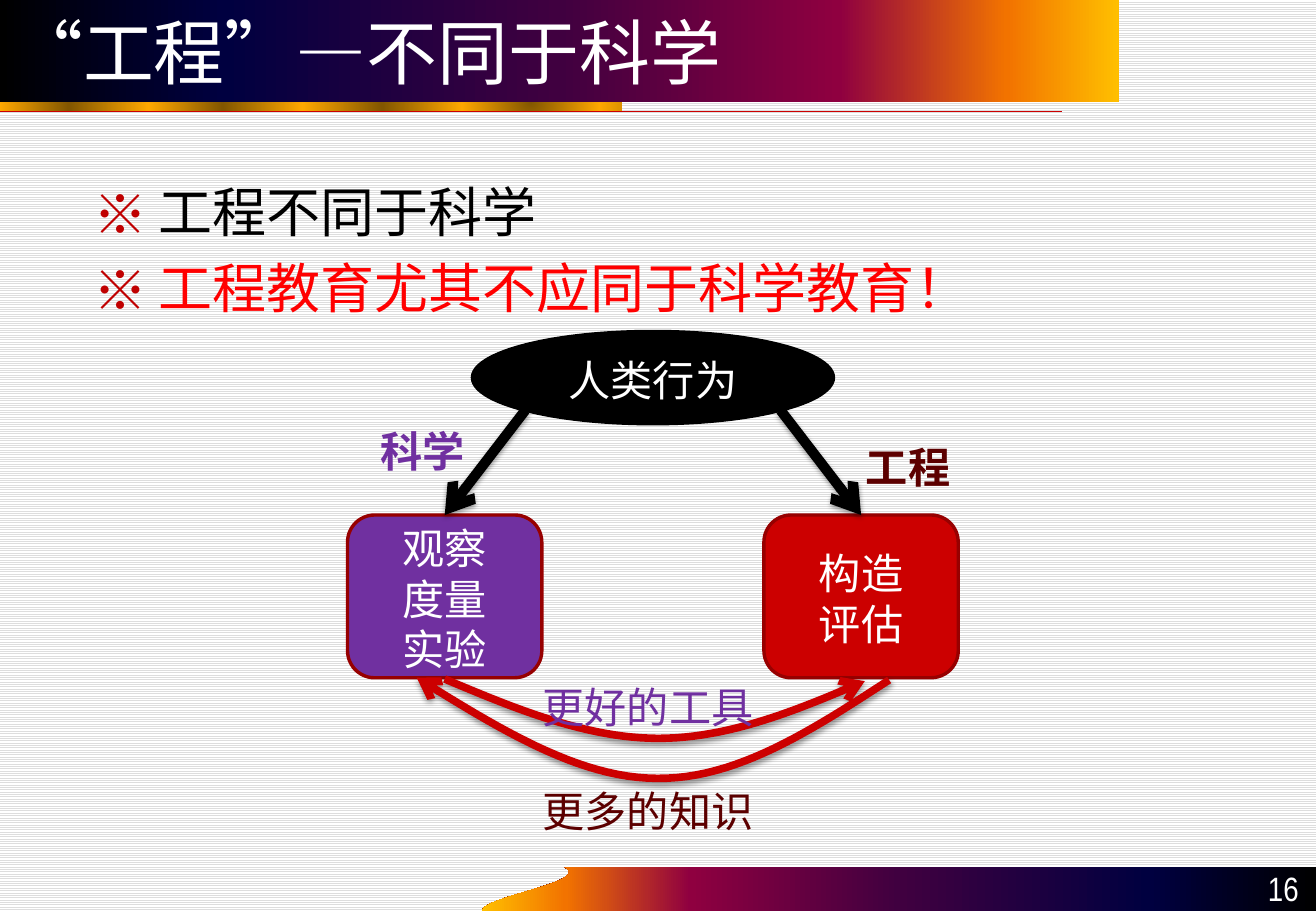
from dataclasses import dataclass
from math import sqrt

from lxml import etree
from pptx import Presentation
from pptx.dml.color import RGBColor
from pptx.enum.dml import MSO_PATTERN
from pptx.enum.shapes import MSO_CONNECTOR, MSO_SHAPE
from pptx.enum.text import MSO_ANCHOR, PP_ALIGN
from pptx.oxml.ns import qn
from pptx.util import Pt

STRAIGHT = MSO_CONNECTOR.STRAIGHT
ELLIPSE, ROUNDED = MSO_SHAPE.OVAL, MSO_SHAPE.ROUNDED_RECTANGLE
TOP, MIDDLE, BOTTOM = MSO_ANCHOR.TOP, MSO_ANCHOR.MIDDLE, MSO_ANCHOR.BOTTOM
LEFT, CENTER, RIGHT = PP_ALIGN.LEFT, PP_ALIGN.CENTER, PP_ALIGN.RIGHT
TOP_SITE = 0


@dataclass(frozen=True)
class Theme:
    cjk: str = "Noto Sans CJK SC"
    title_font: str = "DejaVu Sans"
    number_font: str = "Arial Narrow"
    title: int = 42
    body: int = 32
    diagram: int = 25
    number: int = 20
    black: str = "000000"
    white: str = "FFFFFF"
    stripe: str = "DDDDDD"
    bullet: str = "C00000"
    alert: str = "FF0000"
    purple: str = "7030A0"
    red: str = "CC0000"
    node_edge: str = "970000"
    maroon: str = "5C0000"
    sunset: tuple = ((0, "000000"), (20, "000040"), (50, "400040"),
                     (75, "8F0040"), (90, "F27300"), (100, "FFBF00"))
    gold: tuple = ((0, "825600"), (13, "FFA800"), (28, "825600"), (43, "FFA800"),
                   (58, "825600"), (72, "FFA800"), (87, "825600"), (100, "FFA800"))


@dataclass(frozen=True)
class Box:
    left: float
    top: float
    width: float
    height: float

    def inner(self, x, y, width, height):
        return Box(self.left + x, self.top + y, width, height)

    def lengths(self):
        return [Pt(v) for v in (self.left, self.top, self.width, self.height)]


THEME = Theme()


def rgb(value):
    return RGBColor.from_string(value)


def sub(parent, tag, **attributes):
    return etree.SubElement(parent, qn(tag), attributes)


def style_run(run, size, color, font=THEME.cjk, bold=False):
    run.font.size, run.font.bold, run.font.name = Pt(size), bold, font
    run.font.color.rgb = rgb(color)
    sub(run.font._element, "a:ea", typeface=THEME.cjk)


def write(shape, text, size, color, align=LEFT, anchor=TOP, wrap=True, bold=False):
    frame = shape.text_frame
    frame.text, frame.word_wrap, frame.vertical_anchor = text, wrap, anchor
    frame.margin_top = Pt(6)
    for paragraph in frame.paragraphs:
        paragraph.alignment = align
        paragraph.line_spacing = Pt(1.2 * size)
        style_run(paragraph.runs[0], size, color, bold=bold)
    return frame


def gradient(shape, stops, angle=None):
    """Linear at the given angle, or circular from the centre without one."""
    shape.fill.gradient()
    fill = shape._element.spPr.find(qn("a:gradFill"))
    for child in list(fill):
        fill.remove(child)
    stop_list = sub(fill, "a:gsLst")
    for percent, color in stops:
        sub(sub(stop_list, "a:gs", pos=str(percent * 1000)), "a:srgbClr", val=color)
    if angle is None:
        centre = dict.fromkeys("ltrb", "50000")
        sub(sub(fill, "a:path", path="circle"), "a:fillToRect", **centre)
    else:
        sub(fill, "a:lin", ang=str(angle * 60000), scaled="0")


def effects(shape, shadow=False):
    effect_list = sub(shape._element.spPr, "a:effectLst")
    if shadow:
        outer = sub(effect_list, "a:outerShdw", blurRad=str(Pt(3.1)),
                    dist=str(Pt(1.6)), dir="5400000", rotWithShape="0")
        sub(sub(outer, "a:srgbClr", val=THEME.black), "a:alpha", val="38000")


def stroke(shape, color, width, arrow=None):
    shape.line.color.rgb, shape.line.width = rgb(color), Pt(width)
    if arrow:
        sub(shape._element.spPr.find(qn("a:ln")), arrow, type="arrow")


def bezier(points, steps=24):
    """Sample joined cubic curves given as start, then three points each."""
    samples = [points[0]]
    for first in range(0, len(points) - 1, 3):
        a, b, c, d = points[first:first + 4]
        for t in (i / steps for i in range(1, steps + 1)):
            u = 1 - t
            samples.append(tuple(u**3 * p + 3 * u * u * t * q + 3 * u * t * t * r + t**3 * s
                                 for p, q, r, s in zip(a, b, c, d)))
    return samples


def outline(slide, box, *contours, close=True):
    builder = None
    for contour in contours:
        points = [(Pt(box.left + x), Pt(box.top + y)) for x, y in contour]
        if builder is None:
            builder = slide.shapes.build_freeform(*points[0])
        else:
            builder.move_to(*points[0])
        builder.add_line_segments(points[1:], close=close)
    return builder.convert_to_shape()


def header(slide, box, text):
    # Gold strip, behind the title band
    strip = box.inner(0, 54.7, 629.3, 11.5)
    bar = outline(slide, strip, [(0, 11.5), (368.6, 11.5), (368.6, 0), (0, 0), (0, 11.5)],
                  [(0, 11.5), (strip.width, 11.5)], close=False)
    gradient(bar, THEME.gold)
    bar.line.fill.background()
    effects(bar)
    slide.shapes._spTree.insert(2, bar._element)
    base = strip.top + strip.height
    rule = slide.shapes.add_connector(STRAIGHT, Pt(strip.left), Pt(base),
                                      Pt(strip.left + strip.width), Pt(base))
    stroke(rule, THEME.red, 0.75)
    effects(rule)

    # Title band
    title = slide.shapes.title
    title.left, title.top, title.width, title.height = box.lengths()
    gradient(title, THEME.sunset, 0)
    frame = title.text_frame
    frame.text, frame.vertical_anchor = text, MIDDLE
    frame.paragraphs[0].alignment = LEFT
    style_run(frame.paragraphs[0].runs[0], THEME.title, THEME.white, THEME.title_font)


def statements(slide, box, lines):
    area = slide.shapes.add_textbox(*box.lengths())
    frame = write(area, "\n".join(text for text, _ in lines), THEME.body, THEME.black)
    for index, (paragraph, (_, color)) in enumerate(zip(frame.paragraphs, lines)):
        paragraph.space_before = Pt(0.2 * THEME.body if index else 0)
        properties = paragraph._p.get_or_add_pPr()
        properties.set("marL", str(Pt(38.9)))
        properties.set("indent", str(-Pt(38.9)))
        sub(sub(properties, "a:buClr"), "a:srgbClr", val=THEME.bullet)
        sub(properties, "a:buFont", typeface=THEME.cjk)
        sub(properties, "a:buChar", char="※")
        paragraph.runs[0].font.color.rgb = rgb(color)


def diagram(slide, box):
    def node(kind, place, text, fill, edge):
        shape = slide.shapes.add_shape(kind, *place.lengths())
        shape.fill.solid()
        shape.fill.fore_color.rgb = rgb(fill)
        stroke(shape, edge, 2)
        effects(shape)
        frame = write(shape, text, THEME.diagram, THEME.white, CENTER, MIDDLE)
        frame.margin_top, frame.margin_bottom = Pt(2.4), 0
        return shape

    # Human activity and its two branches
    middle, oval_width, oval_height = box.width / 2, 214, 54.7
    node_top, node_width, node_height = 108.8, 115.2, 96.5
    node(ELLIPSE, box.inner(middle - oval_width / 2, 0, oval_width, oval_height),
         "人类行为", THEME.black, THEME.black)
    branches = [(-1, 0, "观察\n度量\n实验", THEME.purple),
                (1, box.width - node_width, "构造\n评估", THEME.red)]
    for side, x, text, fill in branches:
        branch = node(ROUNDED, box.inner(x, node_top, node_width, node_height),
                      text, fill, THEME.node_edge)
        start_x = box.left + middle + side * oval_width / sqrt(8)
        start_y = box.top + oval_height / 2 * (1 + 1 / sqrt(2))
        arrow = slide.shapes.add_connector(STRAIGHT, Pt(start_x), Pt(start_y),
                                           branch.left + branch.width // 2, branch.top)
        arrow.end_connect(branch, TOP_SITE)
        stroke(arrow, THEME.black, 6, "a:tailEnd")
        effects(arrow, shadow=True)

    # Feedback curves
    tools = [(57.6, 206), (100, 224), (142.5, 241.2), (184.2, 241.2),
             (226, 241.2), (266.3, 224.6), (306.6, 207.3)]
    knowledge = [(41, 205.2), (88.5, 234.7), (136.7, 264.9), (183.5, 264.9),
                 (230.3, 265.6), (275.7, 236.1), (321, 206.6)]
    for points, end in ((tools, "a:tailEnd"), (knowledge, "a:headEnd")):
        curve = outline(slide, box, bezier(points), close=False)
        curve.fill.background()
        stroke(curve, THEME.red, 4.5, end)
        effects(curve, shadow=True)

    # Labels
    labels = [("科学", 12.2, 49.6, THEME.purple, True),
              ("工程", 300.2, 59, THEME.maroon, True),
              ("更好的工具", 108.6, 201.6, THEME.purple, False),
              ("更多的知识", 108.6, 262.8, THEME.maroon, False)]
    for text, x, y, color, bold in labels:
        place = box.inner(x, y, len(text) * THEME.diagram + 14.4, 37.4)
        write(slide.shapes.add_textbox(*place.lengths()), text, THEME.diagram, color,
              wrap=False, bold=bold)


def footer(slide, box, number):
    edge = bezier([(0, box.height), (0, 17.4), (64.8, 9), (49, 0)])
    band = outline(slide, box, edge + [(box.width, 0), (box.width, box.height)])
    gradient(band, THEME.sunset, 180)
    band.line.fill.background()
    effects(band)
    place = box.inner(box.width - 72.2, -0.6, 69.1, 28.8)
    frame = slide.shapes.add_textbox(*place.lengths()).text_frame
    frame.text, frame.word_wrap, frame.vertical_anchor = number, True, BOTTOM
    frame.paragraphs[0].alignment = RIGHT
    style_run(frame.paragraphs[0].runs[0], THEME.number, THEME.white, THEME.number_font)


def main():
    deck = Presentation()
    deck.slide_width, deck.slide_height = Pt(780), Pt(540)
    slide = deck.slides.add_slide(deck.slide_layouts[5])
    ground = slide.background.fill
    ground.patterned()
    ground.pattern = MSO_PATTERN.LIGHT_HORIZONTAL
    ground.fore_color.rgb, ground.back_color.rgb = rgb(THEME.stripe), rgb(THEME.white)

    header(slide, Box(0, 0, 663, 60.5), "“工程”—不同于科学")
    footer(slide, Box(285.8, 514, 494.2, 26), "16")
    statements(slide, Box(48.2, 100.1, 682.6, 90.7),
               [("工程不同于科学", THEME.black), ("工程教育尤其不应同于科学教育！", THEME.alert)])
    diagram(slide, Box(206, 196.5, 362, 301))
    deck.save("out.pptx")


if __name__ == "__main__":
    main()
